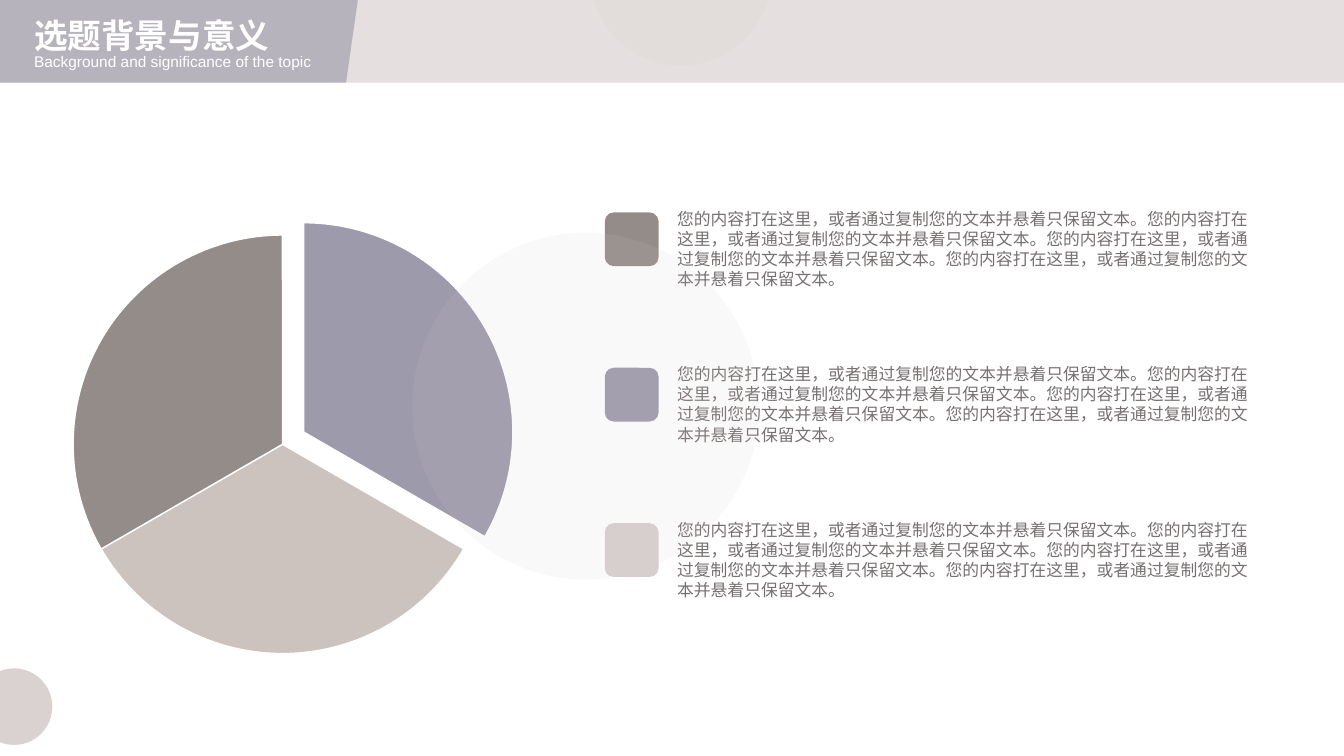
"""Build a section slide with a three-part pie and a matching text list."""
from lxml.etree import SubElement
from pptx import Presentation
from pptx.dml.color import RGBColor
from pptx.enum.lang import MSO_LANGUAGE_ID
from pptx.enum.shapes import MSO_SHAPE
from pptx.enum.text import MSO_ANCHOR, MSO_AUTO_SIZE
from pptx.oxml.ns import qn
from pptx.util import Pt

TITLE = "选题背景与意义"
SUBTITLE = "Background and significance of the topic"
SENTENCE = "您的内容打在这里，或者通过复制您的文本并悬着只保留文本。"
BODY = SENTENCE * 4

WHITE, GREY = "FFFFFF", "767171"
PURPLE, BROWN, BEIGE, PINK = "9D9AAB", "948C89", "CCC2BE", "D7CFCD"

PIE_SIZE = 149.5 * 2
SLICES = [(67.4, 159.1, PURPLE), (52.3, 167.9, BEIGE), (52.3, 167.9, BROWN)]
SLICE_START, SLICE_SWEEP = 270, 120

ITEM_COLOURS = [BROWN, PURPLE, PINK]
ITEM_TOP, ITEM_STEP, MARKER_SIZE = 151.7, 111, 38.4
MARKER_LEFT, BODY_LEFT, BODY_RISE = 432, 476.6, 6.3
BODY_SIZE = (431.3, 124)

HEADER_HEIGHT = 59
TAB_POINTS = [(0, 0), (255.6, 0), (247.2, HEADER_HEIGHT), (0, HEADER_HEIGHT)]
CIRCLES = [(294.5, 166.3, 247.7, 11), (421.9, -82.1, 128.9, 19), (-17.3, 477.4, 54.7, 92)]


def colour(value):
    return RGBColor.from_string(value)


def paint(shape, fill, opacity=100, line=None):
    shape.shadow.inherit = False
    shape.fill.solid()
    shape.fill.fore_color.rgb = colour(fill)
    if opacity < 100:
        tint = shape.fill._xPr.find(qn("a:solidFill"))[0]
        SubElement(tint, qn("a:alpha")).set("val", str(opacity * 1000))
    if line:
        shape.line.color.rgb = colour(line)
        shape.line.width = Pt(1)
    else:
        shape.line.fill.background()


def add_figure(page, kind, left, top, width, height, fill, **look):
    shape = page.shapes.add_shape(kind, Pt(left), Pt(top), Pt(width), Pt(height))
    paint(shape, fill, **look)
    return shape


def add_text(page, text, left, top, width, height, tint, wrap=False, **formats):
    box = page.shapes.add_textbox(Pt(left), Pt(top), Pt(width), Pt(height))
    frame = box.text_frame
    settings = {"word_wrap": wrap, "auto_size": MSO_AUTO_SIZE.SHAPE_TO_FIT_TEXT,
                "vertical_anchor": MSO_ANCHOR.TOP}
    for name, value in settings.items():
        setattr(frame, name, value)
    span = frame.paragraphs[0].add_run()
    span.text = text
    formats = {"name": "Arial", "language_id": MSO_LANGUAGE_ID.SIMPLIFIED_CHINESE, **formats}
    for name, value in formats.items():
        setattr(span.font, name, value)
    span.font.color.rgb = colour(tint)


def add_pie(page):
    for index, (left, top, fill) in enumerate(SLICES):
        piece = add_figure(page, MSO_SHAPE.PIE, left, top, PIE_SIZE, PIE_SIZE, fill, line=WHITE)
        start = SLICE_START + index * SLICE_SWEEP
        for side, angle in enumerate((start, start + SLICE_SWEEP)):
            piece.adjustments[side] = angle % 360 * 0.6


def add_header(page, width):
    add_figure(page, MSO_SHAPE.RECTANGLE, 0, 0, width, HEADER_HEIGHT, PINK, opacity=63)
    corners = [(Pt(x), Pt(y)) for x, y in TAB_POINTS]
    outline = page.shapes.build_freeform(*corners[0])
    outline.add_line_segments(corners[1:], close=True)
    paint(outline.convert_to_shape(), PURPLE, opacity=64)
    add_text(page, TITLE, 17.3, 7.2, 184.3, 36, WHITE, size=Pt(24), bold=True)
    add_text(page, SUBTITLE, 17.3, 33.8, 213.8, 20.9, WHITE, size=Pt(11))


def add_items(page):
    for index, fill in enumerate(ITEM_COLOURS):
        top = ITEM_TOP + index * ITEM_STEP
        add_figure(page, MSO_SHAPE.ROUNDED_RECTANGLE, MARKER_LEFT, top,
                   MARKER_SIZE, MARKER_SIZE, fill)
        add_text(page, BODY, BODY_LEFT, top - BODY_RISE, *BODY_SIZE, GREY,
                 wrap=True, size=Pt(12))


def main():
    deck = Presentation()
    deck.slide_width, deck.slide_height = Pt(960), Pt(540)
    page = deck.slides.add_slide(deck.slide_layouts[6])
    add_pie(page)
    add_header(page, 960)
    add_items(page)
    for left, top, size, opacity in CIRCLES:
        add_figure(page, MSO_SHAPE.OVAL, left, top, size, size, PINK, opacity=opacity)
    deck.save("out.pptx")


if __name__ == "__main__":
    main()
